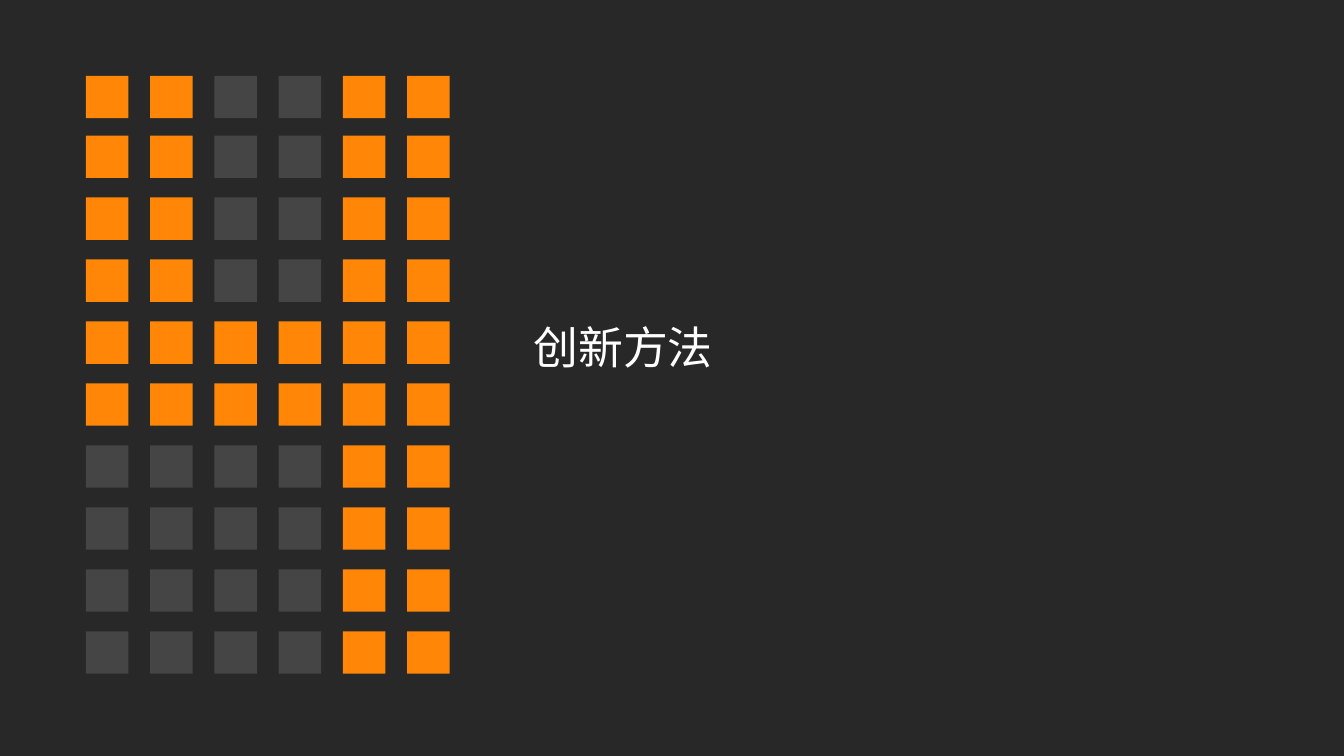
from dataclasses import dataclass

from lxml import etree
from pptx import Presentation
from pptx.dml.color import RGBColor
from pptx.enum.shapes import MSO_SHAPE
from pptx.enum.text import MSO_ANCHOR, MSO_AUTO_SIZE, PP_ALIGN
from pptx.oxml.ns import qn
from pptx.util import Pt

RECTANGLE = MSO_SHAPE.RECTANGLE
MIDDLE = MSO_ANCHOR.MIDDLE
GROW = MSO_AUTO_SIZE.SHAPE_TO_FIT_TEXT
LEFT = PP_ALIGN.LEFT

SLIDE_WIDTH, SLIDE_HEIGHT = 720, 405
FONT = "Noto Sans CJK SC"
BACKDROP, UNLIT, LIT, WHITE = "282828", "454545", "FF8607", "FFFFFF"

DIGIT_ROWS = ["##..##"] * 4 + ["######"] * 2 + ["....##"] * 4
GRID_LEFT, COLUMN_PITCH = 46.05, 34.42
FIRST_ROW_TOP, SECOND_ROW_TOP, ROW_PITCH = 40.65, 72.6, 33.2
TILE_SIZE = 22.7


@dataclass
class Box:
    left: float
    top: float
    width: float
    height: float


def color(value: str) -> RGBColor:
    return RGBColor.from_string(value)


def draw_rectangle(shapes, box: Box, fill: str):
    shape = shapes.add_shape(
        RECTANGLE, Pt(box.left), Pt(box.top), Pt(box.width), Pt(box.height)
    )
    shape.shadow.inherit = False
    shape.fill.solid()
    shape.fill.fore_color.rgb = color(fill)
    shape.line.fill.background()
    return shape


def write_text(shape, text: str, *, size: float, fill: str, font: str, align) -> None:
    paragraph = shape.text_frame.paragraphs[0]
    paragraph.alignment = align
    run = paragraph.add_run()
    run.text = text
    run.font.size = Pt(size)
    run.font.name = font
    run.font.color.rgb = color(fill)
    east_asian = etree.SubElement(run.font._element, qn("a:ea"))
    east_asian.set("typeface", font)


def tile_box(row: int, column: int) -> Box:
    top = SECOND_ROW_TOP + (row - 1) * ROW_PITCH if row else FIRST_ROW_TOP
    return Box(GRID_LEFT + column * COLUMN_PITCH, top, TILE_SIZE, TILE_SIZE)


def draw_tiles(slide, mark: str, fill: str) -> None:
    group = slide.shapes.add_group_shape()
    for row, marks in enumerate(DIGIT_ROWS):
        for column, tile_mark in enumerate(marks):
            if tile_mark == mark:
                draw_rectangle(group.shapes, tile_box(row, column), fill)


def place_title(slide, text: str, box: Box) -> None:
    title = slide.shapes.title
    title.left, title.top = Pt(box.left), Pt(box.top)
    title.width, title.height = Pt(box.width), Pt(box.height)
    title.text_frame.word_wrap = True
    title.text_frame.auto_size = GROW
    title.text_frame.vertical_anchor = MIDDLE
    write_text(title, text, size=24, fill=WHITE, font=FONT, align=LEFT)


def main() -> None:
    presentation = Presentation()
    presentation.slide_width = Pt(SLIDE_WIDTH)
    presentation.slide_height = Pt(SLIDE_HEIGHT)
    slide = presentation.slides.add_slide(presentation.slide_layouts[5])
    backdrop = draw_rectangle(
        slide.shapes, Box(0, 0, SLIDE_WIDTH, SLIDE_HEIGHT), BACKDROP
    )
    slide.shapes.title.element.addprevious(backdrop.element)
    place_title(slide, "创新方法", Box(278.6, 167.4, 442.8, 36.7))
    draw_tiles(slide, ".", UNLIT)
    draw_tiles(slide, "#", LIT)
    presentation.save("out.pptx")


if __name__ == "__main__":
    main()
